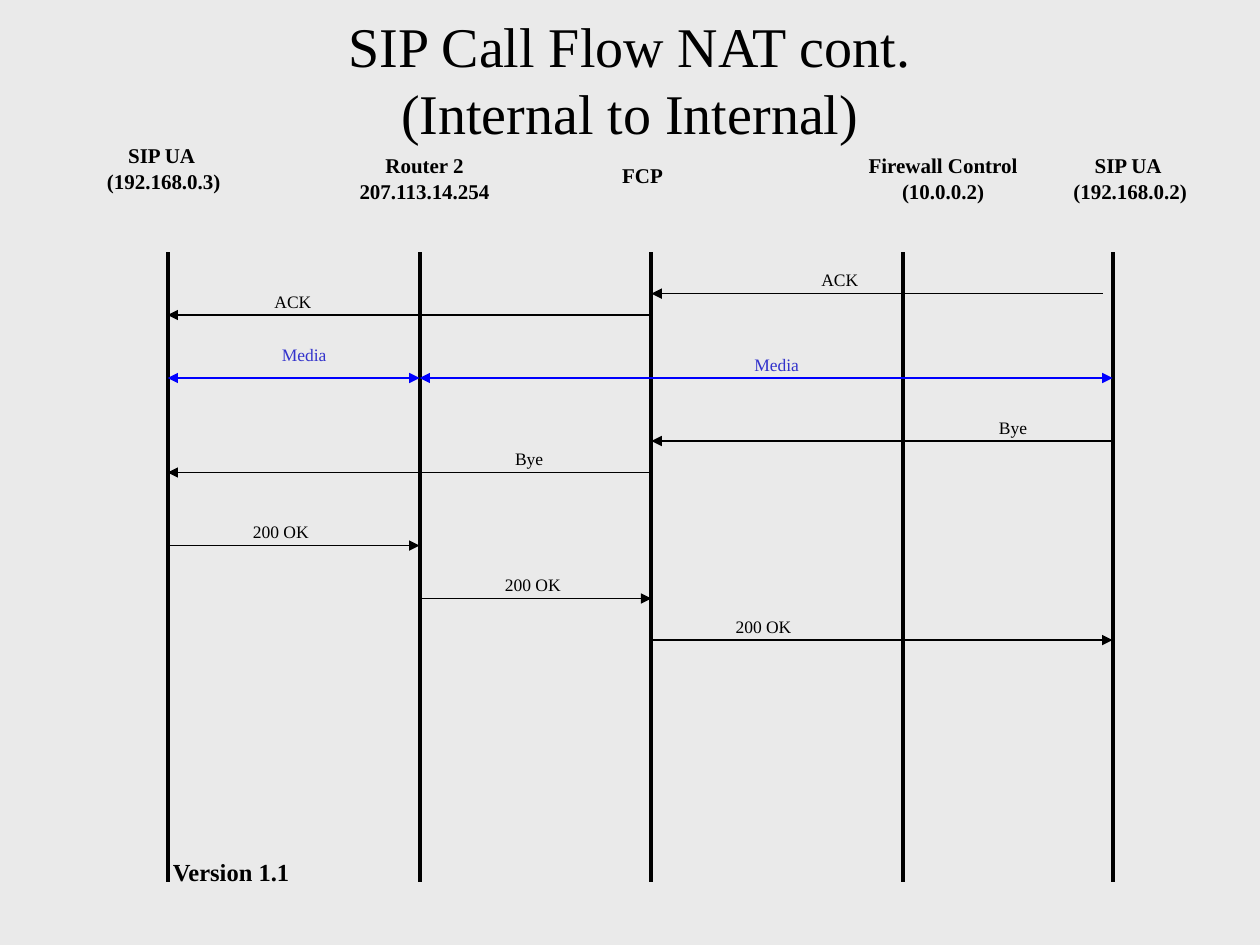
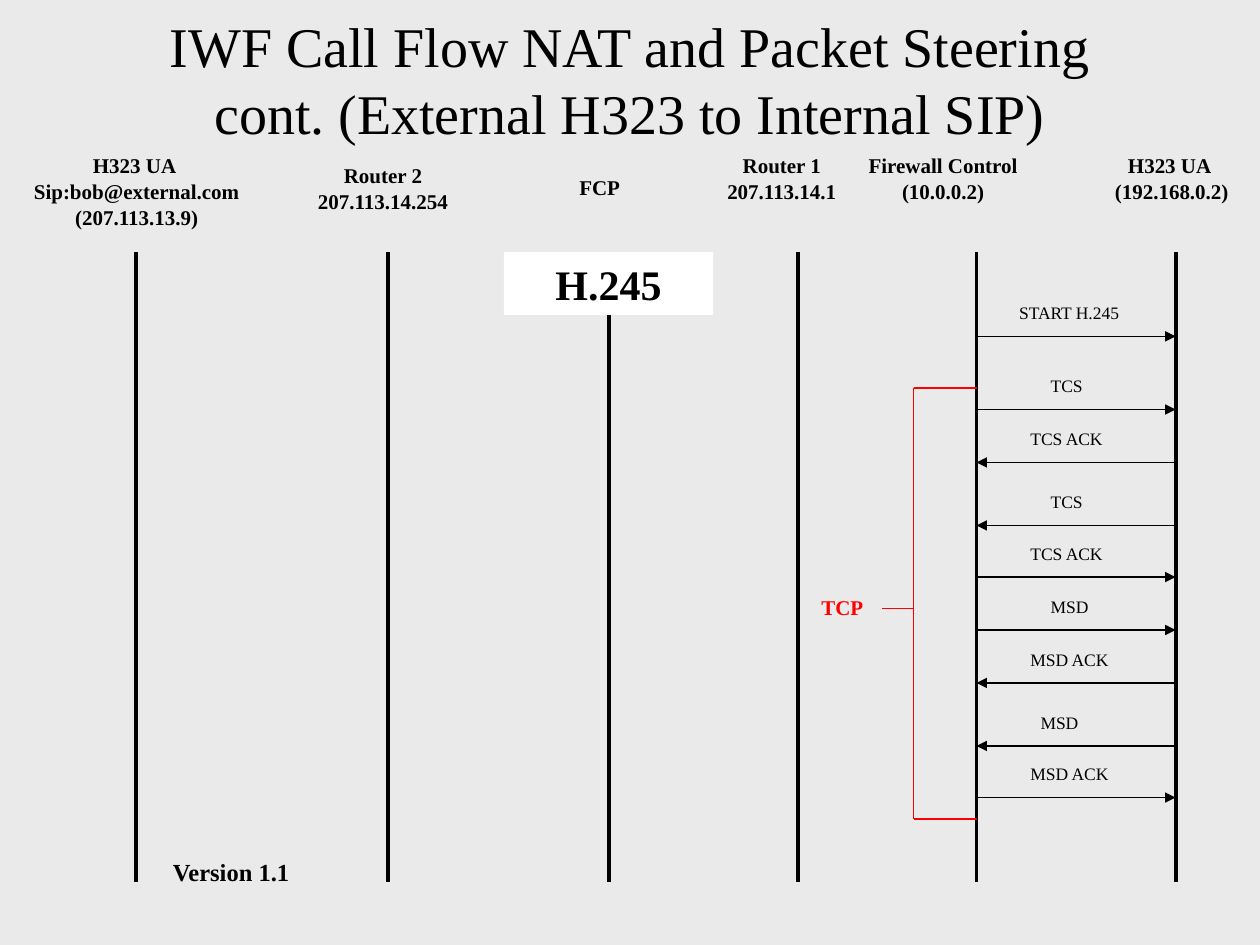
from dataclasses import dataclass

from lxml import etree
from pptx import Presentation
from pptx.dml.color import RGBColor
from pptx.enum.shapes import MSO_CONNECTOR, MSO_SHAPE
from pptx.enum.text import MSO_ANCHOR, MSO_AUTO_SIZE, PP_ALIGN
from pptx.oxml.ns import qn
from pptx.util import Inches, Pt


@dataclass(frozen=True)
class Theme:
    font: str = "Times New Roman"
    background: str = "EAEAEA"
    ink: str = "000000"
    media_line: str = "0000FF"
    media_text: str = "3333CC"
    bracket: str = "FF0000"
    banner: str = "FFFFFF"
    title_size: int = 32
    banner_size: int = 24
    footer_size: int = 14
    header_size: int = 12
    label_size: int = 10
    lifeline_width: float = 2.25
    arrow_width: float = 0.75


THEME = Theme()
LIFELINE_TOP, LIFELINE_BOTTOM = 2, 7
LABEL_WIDTHS = {"ACK": 0.49, "Media": 0.67, "Bye": 0.44, "200 OK": 0.66,
                "START H.245": 1.03, "TCS": 0.48, "TCS ACK": 0.8,
                "MSD": 0.52, "MSD ACK": 0.84}


def write_text(shape, text, size, color=THEME.ink, bold=False,
               align=PP_ALIGN.CENTER, spacing=None, wrap=False):
    """Fill a shape with text; each line of it becomes a paragraph."""
    text_frame = shape.text_frame
    text_frame.text = text
    text_frame.word_wrap = wrap
    if not wrap:
        text_frame.auto_size = MSO_AUTO_SIZE.SHAPE_TO_FIT_TEXT
    for index, paragraph in enumerate(text_frame.paragraphs):
        paragraph.alignment = align
        if spacing:
            paragraph.line_spacing = spacing
        if index:
            paragraph.space_before = Pt(size * 0.625)
        for run in paragraph.runs:
            run.font.name = THEME.font
            run.font.size = Pt(size)
            run.font.bold = bold
            run.font.color.rgb = RGBColor.from_string(color)


def add_line(slide, start, end, color=THEME.ink, width=THEME.arrow_width, heads=()):
    """Draw a line; heads may hold headEnd (at start) and tailEnd (at end)."""
    line = slide.shapes.add_connector(
        MSO_CONNECTOR.STRAIGHT, *(Inches(value) for value in (*start, *end)))
    line.line.color.rgb = RGBColor.from_string(color)
    line.line.width = Pt(width)
    outline = line.line._get_or_add_ln()
    for head in heads:
        etree.SubElement(outline, qn(f"a:{head}"), type="triangle")
    etree.SubElement(line._element.spPr, qn("a:effectLst"))
    return line


# Headers: text, left, top, width, height.
# Messages: label, start x, end x, y, label left, label rise above the arrow.
SLIDES = [
    {
        "title": "SIP Call Flow NAT cont.\v(Internal to Internal)",
        "lifelines": [1.33, 3.33, 5.17, 7.17, 8.83],
        "headers": [
            ("SIP UA \n(192.168.0.3)", 0.75, 1.17, 1.1, 0.41),
            ("Router 2\n207.113.14.254", 2.75, 1.25, 1.24, 0.41),
            ("FCP", 4.82, 1.33, 0.56, 0.2),
            ("Firewall Control\n(10.0.0.2)", 6.79, 1.25, 1.39, 0.41),
            ("SIP UA \n(192.168.0.2)", 8.42, 1.25, 1.1, 0.41),
        ],
        "messages": [
            ("ACK", 8.75, 5.17, 2.33, 6.42, 0.17),
            ("ACK", 5.17, 1.33, 2.5, 2.08, 0.17),
            ("Media", 1.33, 3.33, 3, 2.08, 0.25),
            ("Media", 3.33, 8.83, 3, 5.83, 0.17),
            ("Bye", 8.83, 5.17, 3.5, 7.83, 0.17),
            ("Bye", 5.17, 1.33, 3.75, 3.99, 0.17),
            ("200 OK", 1.33, 3.33, 4.33, 1.91, 0.17),
            ("200 OK", 3.33, 5.17, 4.75, 3.91, 0.17),
            ("200 OK", 5.17, 8.83, 5.08, 5.74, 0.17),
        ],
    },
    {
        "title": "IWF Call Flow NAT and Packet Steering\v"
                 "cont. (External H323 to Internal SIP)",
        "lifelines": [1.08, 3.08, 4.83, 6.33, 7.75, 9.33],
        "headers": [
            ("H323 UA \nSip:bob@external.com\n(207.113.13.9)", 0.17, 1.25, 1.83, 0.61),
            ("Router 2\n207.113.14.254", 2.42, 1.33, 1.24, 0.41),
            ("FCP", 4.48, 1.42, 0.56, 0.2),
            ("Router 1\n207.113.14.1", 5.67, 1.25, 1.07, 0.41),
            ("Firewall Control\n(10.0.0.2)", 6.79, 1.25, 1.39, 0.41),
            ("H323 UA \n(192.168.0.2)", 8.75, 1.25, 1.1, 0.41),
        ],
        "messages": [
            ("START H.245", 7.75, 9.33, 2.67, 7.99, 0.25),
            ("TCS", 7.75, 9.33, 3.25, 8.24, 0.25),
            ("TCS ACK", 9.33, 7.75, 3.67, 8.08, 0.25),
            ("TCS", 9.33, 7.75, 4.17, 8.24, 0.25),
            ("TCS ACK", 7.75, 9.33, 4.58, 8.08, 0.25),
            ("MSD", 7.75, 9.33, 5, 8.24, 0.25),
            ("MSD ACK", 9.33, 7.75, 5.42, 8.08, 0.25),
            ("MSD", 9.33, 7.75, 5.92, 8.16, 0.25),
            ("MSD ACK", 7.75, 9.33, 6.33, 8.08, 0.25),
        ],
    },
]

presentation = Presentation()
presentation.slide_width = Inches(10)
presentation.slide_height = Inches(7.5)
background = presentation.slide_master.background.fill
background.solid()
background.fore_color.rgb = RGBColor.from_string(THEME.background)
title_only = presentation.slide_layouts[5]

for content in SLIDES:
    slide = presentation.slides.add_slide(title_only)
    title = slide.shapes.title
    title.left, title.top = Inches(0), Inches(0)
    title.width, title.height = Inches(10), Inches(1.25)
    title.text_frame.vertical_anchor = MSO_ANCHOR.MIDDLE
    write_text(title, content["title"], THEME.title_size, wrap=True)

    lifelines = [add_line(slide, (x, LIFELINE_TOP), (x, LIFELINE_BOTTOM),
                          width=THEME.lifeline_width)
                 for x in content["lifelines"]]

    for text, *place in content["headers"]:
        header = slide.shapes.add_textbox(*map(Inches, place))
        write_text(header, text, THEME.header_size, bold=True, spacing=0.5)

    for text, start, end, y, left, rise in content["messages"]:
        is_media = text == "Media"
        add_line(slide, (start, y), (end, y),
                 color=THEME.media_line if is_media else THEME.ink,
                 heads=("headEnd", "tailEnd") if is_media else ("tailEnd",))
        label = slide.shapes.add_textbox(
            Inches(left), Inches(y - rise), Inches(LABEL_WIDTHS[text]), Inches(0.19))
        write_text(label, text, THEME.label_size,
                   color=THEME.media_text if is_media else THEME.ink,
                   align=PP_ALIGN.CENTER if is_media else PP_ALIGN.LEFT,
                   spacing=0.5, wrap=is_media)

    version = slide.shapes.add_textbox(
        Inches(0.25), Inches(6.75), Inches(3.17), Inches(0.5))
    write_text(version, "Version 1.1", THEME.footer_size, bold=True, wrap=True)

# The second slide also carries the H.245 banner and the TCP bracket.
banner = slide.shapes.add_shape(
    MSO_SHAPE.RECTANGLE, Inches(4), Inches(2), Inches(1.66), Inches(0.5))
banner.shadow.inherit = False
banner.fill.solid()
banner.fill.fore_color.rgb = RGBColor.from_string(THEME.banner)
banner.line.fill.background()
banner.text_frame.vertical_anchor = MSO_ANCHOR.TOP
write_text(banner, "H.245", THEME.banner_size, bold=True, wrap=True)
fcp_lifeline = lifelines[2]
fcp_lifeline.begin_connect(banner, 0)

bracket_left, bracket_right, bracket_top, bracket_bottom = 7.25, 7.75, 3.08, 6.5
for start, end in [
    ((bracket_left, bracket_top), (bracket_left, bracket_bottom)),
    ((bracket_left, bracket_top), (bracket_right, bracket_top)),
    ((bracket_left, bracket_bottom), (bracket_right, bracket_bottom)),
    ((7, 4.83), (bracket_left, 4.83)),
]:
    add_line(slide, start, end, color=THEME.bracket)
tcp_label = slide.shapes.add_textbox(Inches(6.42), Inches(4.67), Inches(0.53), Inches(0.3))
write_text(tcp_label, "TCP", THEME.header_size, color=THEME.bracket, bold=True,
           align=PP_ALIGN.LEFT)

presentation.save("out.pptx")
